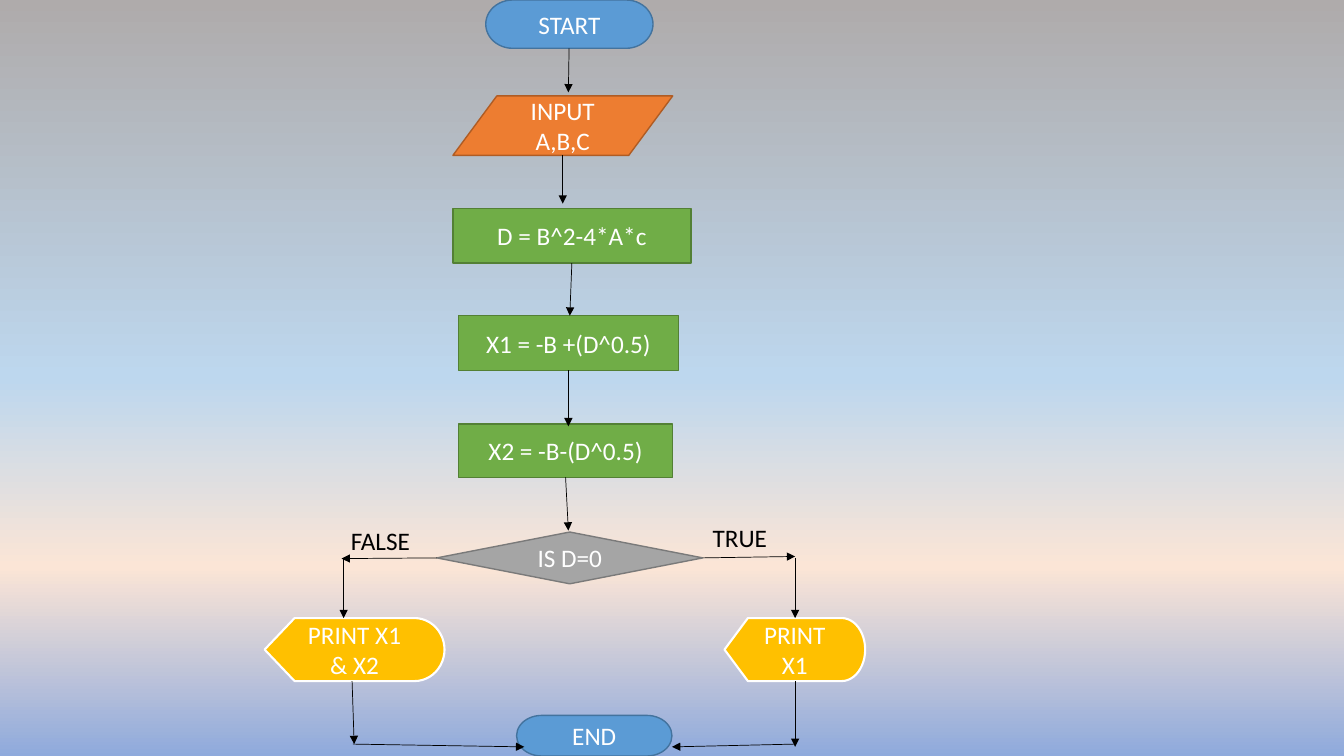
from copy import deepcopy

from lxml import etree
from pptx import Presentation
from pptx.dml.color import RGBColor
from pptx.enum import shapes as sh, text as tx
from pptx.oxml import ns
from pptx.util import Pt

KIND = sh.MSO_SHAPE
BLUE, GREEN = ("5B9BD5", "43739E"), ("70AD47", "538035")
ORANGE, GREY, GOLD = ("ED7D31", "AF5C24"), ("A5A5A5", "7A7A7A"), ("FFC000", "FFFFFF")
SKY = [(0, "AFABAB"), (0.5, "BDD7EE"), (0.75, "FBE5D6"), (1, "8FAADC")]

NODES = [
    ("START", KIND.FLOWCHART_TERMINATOR, BLUE, (347, 0, 119.5, 34.5)),
    ("INPUT A,B,C", KIND.FLOWCHART_DATA, ORANGE, (323.5, 68.5, 157, 42.5)),
    ("D = B^2-4*A*c", KIND.RECTANGLE, GREEN, (323.5, 149, 170, 39)),
    ("X1 = -B +(D^0.5)", KIND.RECTANGLE, GREEN, (327.5, 225.5, 157, 39)),
    ("X2 = -B-(D^0.5)", KIND.RECTANGLE, GREEN, (327.5, 303, 153, 38)),
    ("IS D=0", KIND.FLOWCHART_DECISION, GREY, (312, 380, 190, 37)),
    ("PRINT X1", KIND.FLOWCHART_DISPLAY, GOLD, (517.5, 441.5, 100.5, 45)),
    ("PRINT X1 & X2", KIND.FLOWCHART_DISPLAY, GOLD, (189, 441.5, 128.5, 45)),
    ("END", KIND.FLOWCHART_TERMINATOR, BLUE, (369, 511, 111, 29)),
]
ARROWS = [
    (406.5, 34.5, 406, 66), (402, 111, 402, 145.5), (408.5, 188, 407, 225.5),
    (406, 264.5, 406, 304.5), (404, 341, 406, 379), (502, 398.5, 568, 397.5),
    (568, 398.5, 568, 441.5), (312, 398.5, 244, 399), (245.5, 398.5, 245.5, 441.5),
    (251.5, 486.5, 253, 531.5), (252, 531.5, 374.5, 533.5),
    (568, 486.5, 568, 533.5), (568, 531.5, 480, 533.5),
]
LABELS = [("TRUE", (502, 369.5, 83.5, 29)), ("FALSE", (243.5, 371.5, 85.5, 29))]


def rgb(hue):
    return RGBColor.from_string(hue)


def paint(slide, stops):
    fill = slide.background.fill
    fill.gradient()
    fill.gradient_angle = 270
    row = slide.element.find(".//" + ns.qn("a:gsLst"))
    while len(row) < len(stops):
        row.append(deepcopy(row[0]))
    for stop, (place, hue) in zip(fill.gradient_stops, stops):
        stop.position = place
        stop.color.rgb = rgb(hue)


def write(shape, words, hue):
    frame = shape.text_frame
    frame.word_wrap = True
    frame.text = words
    para = frame.paragraphs[0]
    para.font.name, para.font.size = "Calibri", Pt(18)
    para.font.color.rgb = rgb(hue)
    return para


def node(slide, words, kind, hues, box):
    shape = slide.shapes.add_shape(kind, *map(Pt, box))
    shape.shadow.inherit = False
    shape.fill.solid()
    shape.fill.fore_color.rgb = rgb(hues[0])
    shape.line.color.rgb = rgb(hues[1])
    shape.line.width = Pt(1.5 if hues is GOLD else 1)
    shape.text_frame.vertical_anchor = tx.MSO_ANCHOR.MIDDLE
    write(shape, words, "FFFFFF").alignment = tx.PP_ALIGN.CENTER


def arrow(slide, ends):
    link = slide.shapes.add_connector(sh.MSO_CONNECTOR.STRAIGHT, *map(Pt, ends))
    link.line.color.rgb = rgb("000000")
    link.line.width = Pt(0.5)
    props = link.element.spPr
    etree.SubElement(props.find(ns.qn("a:ln")), ns.qn("a:tailEnd"), type="triangle")
    etree.SubElement(props, ns.qn("a:effectLst"))


def label(slide, words, box):
    write(slide.shapes.add_textbox(*map(Pt, box)), words, "000000")


def main():
    """Build the flowchart for the roots of a quadratic."""
    deck = Presentation()
    deck.slide_width, deck.slide_height = Pt(960), Pt(540)
    slide = deck.slides.add_slide(deck.slide_layouts[6])
    paint(slide, SKY)
    for item in NODES:
        node(slide, *item)
    for ends in ARROWS:
        arrow(slide, ends)
    for item in LABELS:
        label(slide, *item)
    deck.save("out.pptx")


if __name__ == "__main__":
    main()
